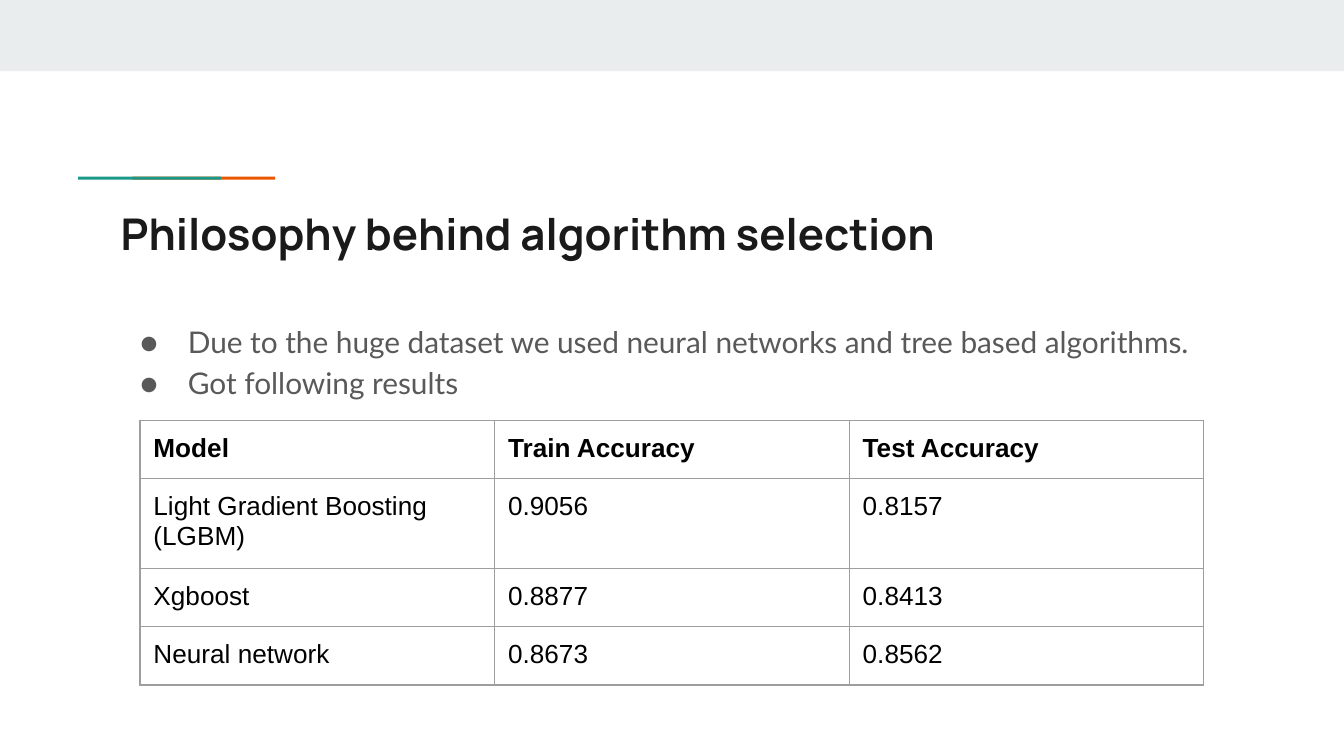
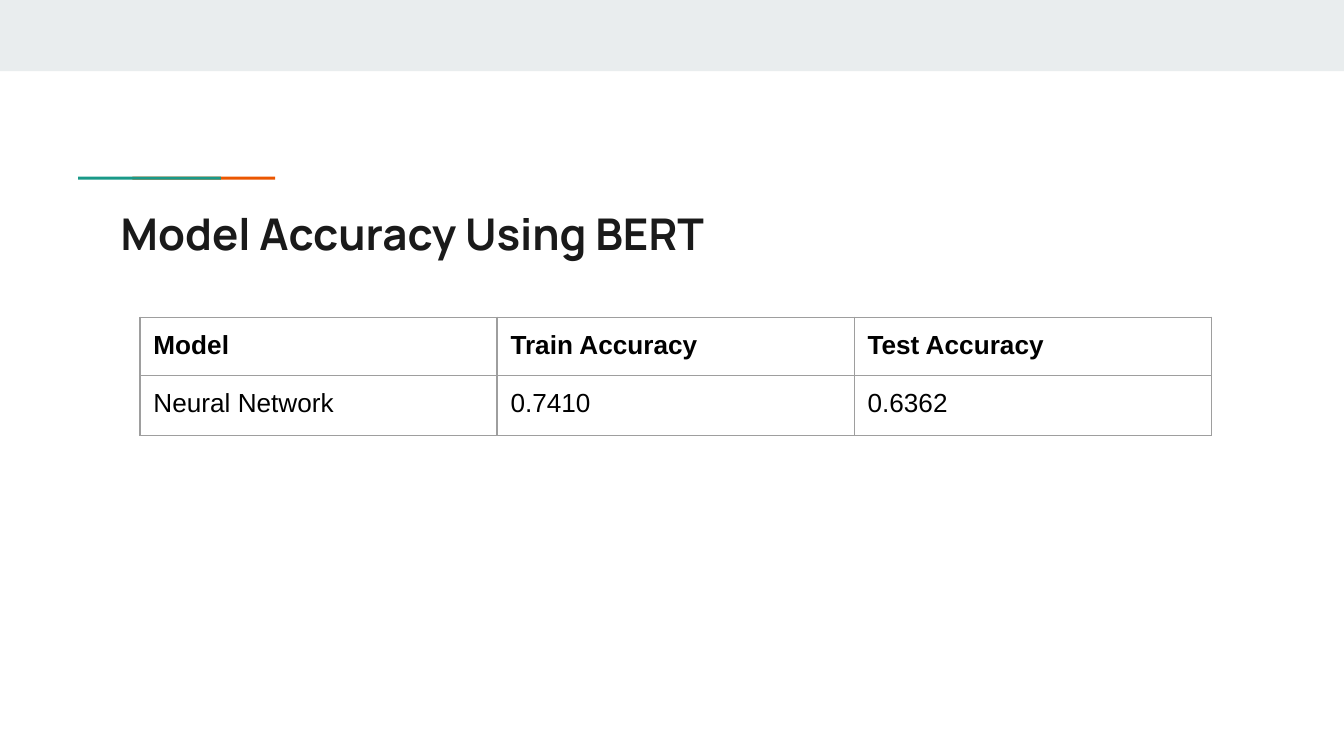
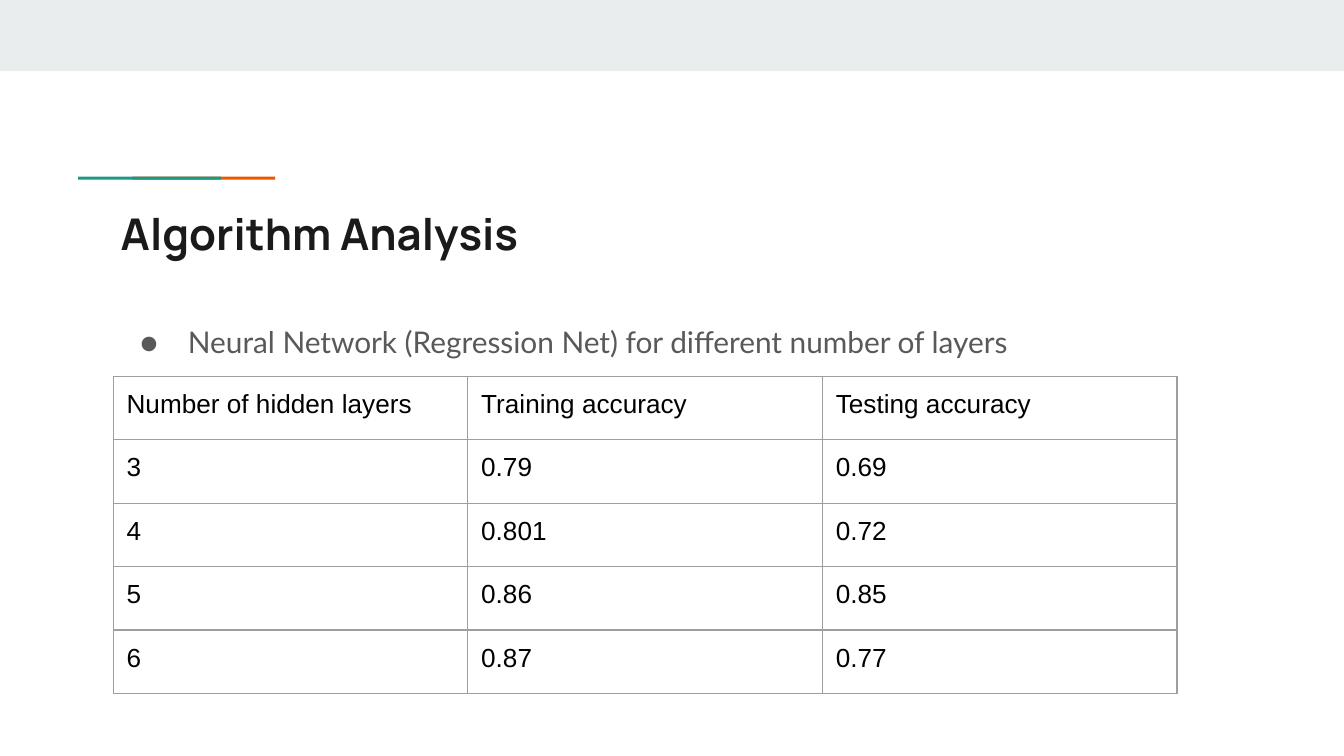
from pptx import Presentation
from pptx.dml.color import RGBColor
from pptx.enum.shapes import MSO_SHAPE
from pptx.oxml import parse_xml
from pptx.oxml.ns import nsdecls
from pptx.util import Pt

COLORS = {
    "band": "E9EDEE",
    "teal": "1A9988",
    "orange": "EB5600",
    "title": "1A1A1A",
    "body": "595959",
    "cell": "000000",
    "border": "9E9E9E",
}
INSET = Pt(7.2)

# Bars as (color, left, top, width, height); teal overlaps orange.
BARS = [
    ("band", 0, 0, 720, 38.2),
    ("orange", 70.9, 94.7, 76.5, 1.6),
    ("teal", 41.8, 94.7, 76.5, 1.6),
]

SLIDES = [
    {
        "title": "Philosophy behind algorithm selection",
        "bullets": [
            "Due to the huge dataset we used neural networks and tree based algorithms.",
            "Got following results",
        ],
        "table_at": (75, 225.2),
        "column_width": 190,
        "row_heights": [30.2] * 4,
        "bold_header": True,
        "rows": [
            ("Model", "Train Accuracy", "Test Accuracy"),
            ("Light Gradient Boosting (LGBM)", "0.9056", "0.8157"),
            ("Xgboost", "0.8877", "0.8413"),
            ("Neural network", "0.8673", "0.8562"),
        ],
    },
    {
        "title": "Model Accuracy Using BERT",
        "bullets": [],
        "table_at": (75, 170),
        "column_width": 191.3,
        "row_heights": [30.2, 32],
        "bold_header": True,
        "rows": [
            ("Model", "Train Accuracy", "Test Accuracy"),
            ("Neural Network", "0.7410", "0.6362"),
        ],
    },
    {
        "title": "Algorithm Analysis",
        "bullets": ["Neural Network (Regression Net) for different number of layers"],
        "table_at": (60.6, 201.6),
        "column_width": 190,
        "row_heights": [34] * 5,
        "bold_header": False,
        "rows": [
            ("Number of hidden layers", "Training accuracy", "Testing accuracy"),
            ("3", "0.79", "0.69"),
            ("4", "0.801", "0.72"),
            ("5", "0.86", "0.85"),
            ("6", "0.87", "0.77"),
        ],
    },
]


def write_text(frame, lines, *, size, font, color, bold=False, bulleted=False):
    """Fill a text frame with one paragraph per line."""
    frame.word_wrap = True
    for index, line in enumerate(lines):
        paragraph = frame.add_paragraph() if index else frame.paragraphs[0]
        run = paragraph.add_run()
        run.text = line
        run.font.size = Pt(size)
        run.font.name = font
        run.font.bold = bold
        run.font.color.rgb = RGBColor.from_string(COLORS[color])
        if bulleted:
            paragraph.line_spacing = 1.15
            properties = paragraph._p.get_or_add_pPr()
            properties.set("marL", str(Pt(36)))
            properties.set("indent", str(Pt(-25.6)))
            for xml in (
                f'<a:buClr {nsdecls("a")}><a:srgbClr val="{COLORS[color]}"/></a:buClr>',
                f'<a:buFont {nsdecls("a")} typeface="{font}"/>',
                f'<a:buChar {nsdecls("a")} char="●"/>',
            ):
                properties.append(parse_xml(xml))


def add_text_box(slide, top, height, lines, **text_format):
    frame = slide.shapes.add_textbox(Pt(57.6), Pt(top), Pt(605.5), Pt(height)).text_frame
    frame.margin_left = frame.margin_right = INSET
    frame.margin_top = frame.margin_bottom = INSET
    write_text(frame, lines, **text_format)


presentation = Presentation()
presentation.slide_width = Pt(720)
presentation.slide_height = Pt(405)

for content in SLIDES:
    slide = presentation.slides.add_slide(presentation.slide_layouts[6])

    for color, left, top, width, height in BARS:
        bar = slide.shapes.add_shape(
            MSO_SHAPE.RECTANGLE, Pt(left), Pt(top), Pt(width), Pt(height)
        )
        bar.shadow.inherit = False
        bar.fill.solid()
        bar.fill.fore_color.rgb = RGBColor.from_string(COLORS[color])
        bar.line.fill.background()

    add_text_box(slide, 103.7, 42.5, [content["title"]],
                 size=23.4, font="Manrope", color="title", bold=True)
    if content["bullets"]:
        add_text_box(slide, 163.4, 177.8, content["bullets"],
                     size=16, font="Lato", color="body", bulleted=True)

    rows = content["rows"]
    heights = content["row_heights"]
    left, top = content["table_at"]
    column_count = len(rows[0])
    table = slide.shapes.add_table(
        len(rows), column_count, Pt(left), Pt(top),
        Pt(content["column_width"] * column_count), Pt(sum(heights)),
    ).table
    table.first_row = False
    table.horz_banding = False
    for column in table.columns:
        column.width = Pt(content["column_width"])

    for row_index, values in enumerate(rows):
        table.rows[row_index].height = Pt(heights[row_index])
        for column_index, value in enumerate(values):
            cell = table.cell(row_index, column_index)
            cell.margin_left = cell.margin_right = INSET
            cell.margin_top = cell.margin_bottom = INSET
            write_text(cell.text_frame, [value], size=14, font="Arial", color="cell",
                       bold=content["bold_header"] and row_index == 0)
            cell_properties = cell._tc.get_or_add_tcPr()
            for side in ("lnL", "lnR", "lnT", "lnB"):
                cell_properties.append(parse_xml(
                    f'<a:{side} {nsdecls("a")} w="{Pt(0.75)}"><a:solidFill>'
                    f'<a:srgbClr val="{COLORS["border"]}"/></a:solidFill></a:{side}>'
                ))
            cell.fill.background()

presentation.save("out.pptx")
